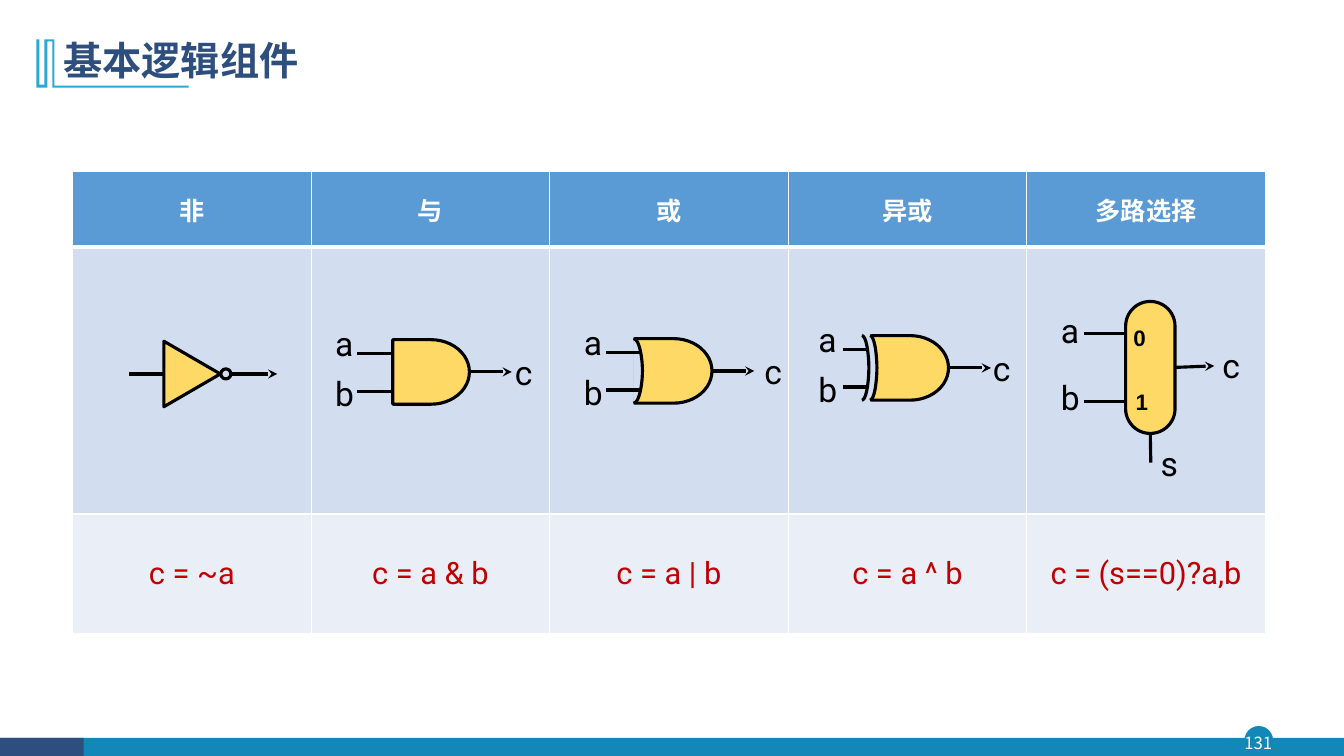
from lxml import etree
from pptx import Presentation
from pptx.dml.color import RGBColor
from pptx.enum.shapes import MSO_CONNECTOR, MSO_SHAPE
from pptx.enum.text import MSO_ANCHOR, PP_ALIGN
from pptx.oxml.ns import qn
from pptx.util import Inches, Pt

CENTER, LEFT = PP_ALIGN.CENTER, PP_ALIGN.LEFT
MIDDLE, TOP = MSO_ANCHOR.MIDDLE, MSO_ANCHOR.TOP
STRAIGHT = MSO_CONNECTOR.STRAIGHT
RECTANGLE, ELLIPSE = MSO_SHAPE.RECTANGLE, MSO_SHAPE.OVAL
TRIANGLE, DELAY = MSO_SHAPE.ISOSCELES_TRIANGLE, MSO_SHAPE.FLOWCHART_DELAY
ROUNDED = MSO_SHAPE.ROUNDED_RECTANGLE
RIGHT_SIDE, BOTTOM_SIDE = 3, 2

COLORS = {
    "navy": "2E4E7E", "teal": "1387B7", "sky": "28A9D6", "white": "FFFFFF",
    "black": "000000", "gate": "FFD966", "header": "5B9BD5",
    "band": "D2DEEF", "light": "EAEFF7", "formula": "C00000",
}
CJK = "Noto Sans CJK SC"
FORMATS = {
    "title": {"size": Pt(28), "name": CJK, "bold": True, "color": "navy"},
    "number": {"size": Pt(12), "name": CJK, "bold": False, "color": "white"},
    "header": {"size": Pt(18), "name": CJK, "bold": True, "color": "white"},
    "formula": {"size": Pt(22), "name": "Roboto", "bold": False, "color": "formula"},
    "signal": {"size": Pt(24), "name": "Roboto", "bold": False, "color": "black"},
    "port": {"size": Pt(16), "name": "Arial", "bold": True, "color": "black"},
}

TABLE_BOX = (0.72, 1.7, 11.83, 4.59)
ROW_HEIGHTS = (0.75, 2.65, 1.19)
COLUMNS = [
    ("非", "c = ~a"),
    ("与", "c = a & b"),
    ("或", "c = a | b"),
    ("异或", "c = a ^ b"),
    ("多路选择", "c = (s==0)?a,b"),
]
TITLE_MARK = [
    (0.36, 0.39), (0.39, 0.39), (0.39, 0.84), (0.44, 0.84), (0.44, 0.39),
    (0.54, 0.39), (0.54, 0.85), (1.87, 0.85), (1.87, 0.87), (0.52, 0.87),
    (0.52, 0.41), (0.47, 0.41), (0.47, 0.87), (0.36, 0.87),
]


def color(name):
    return RGBColor.from_string(COLORS[name])


def write(frame, text, style, align=LEFT):
    para = frame.paragraphs[0]
    para.alignment = align
    span = para.add_run()
    span.text = text
    for key, value in FORMATS[style].items():
        if key == "color":
            span.font.color.rgb = color(value)
        else:
            setattr(span.font, key, value)
    east_asian = etree.SubElement(span.font._element, qn("a:ea"))
    east_asian.set("typeface", FORMATS[style]["name"])
    return para


def paint(shape, fill, line=None, width=2.25):
    shape.shadow.inherit = False
    if fill:
        shape.fill.solid()
        shape.fill.fore_color.rgb = color(fill)
    else:
        shape.fill.background()
    if line:
        shape.line.color.rgb = color(line)
        shape.line.width = Pt(width)
    else:
        shape.line.fill.background()
    return shape


def add_shape(page, kind, box, fill, line=None, width=2.25):
    shape = page.shapes.add_shape(kind, *map(Inches, box))
    return paint(shape, fill, line, width)


def add_outline(page, points, fill, line=None, close=True):
    points = [(Inches(x), Inches(y)) for x, y in points]
    builder = page.shapes.build_freeform(*points[0])
    builder.add_line_segments(points[1:], close=close)
    return paint(builder.convert_to_shape(), fill, line)


def add_text(page, text, box, style, align=LEFT, inset=True, spacing=None, anchor=TOP):
    frame = page.shapes.add_textbox(*map(Inches, box)).text_frame
    frame.word_wrap = not inset
    frame.vertical_anchor = anchor
    if not inset:
        for side in ("left", "top", "right", "bottom"):
            setattr(frame, f"margin_{side}", 0)
    para = write(frame, text, style, align)
    if spacing:
        para.line_spacing = spacing


def add_wire(page, start, end, arrow=False, source=None, side=None):
    wire = page.shapes.add_connector(STRAIGHT, *map(Inches, start + end))
    wire.line.color.rgb = color("black")
    wire.line.width = Pt(2.25)
    if arrow:
        etree.SubElement(wire.line._get_or_add_ln(), qn("a:tailEnd")).set("type", "stealth")
    etree.SubElement(wire._element.spPr, qn("a:effectLst"))
    if source is not None:
        wire.begin_connect(source, side)


def add_signal(page, text, x, y):
    add_text(page, text, (x, y, 0.4, 0.5), "signal")


def add_result(page, x, y):
    add_text(page, "c", (x, y, 0.2, 0.44), "signal", inset=False, spacing=1.2)


def add_arc(page, x, y, width, height=0.64, steps=12):
    curves = [((0, 1), (0.71, 1), (1, 0.67), (1, 0.5)),
              ((1, 0.5), (1, 0.33), (0.71, 0), (0, 0))]
    points = []
    for curve in curves:
        for step in range(steps + 1):
            t = step / steps
            weights = ((1 - t) ** 3, 3 * t * (1 - t) ** 2, 3 * t * t * (1 - t), t ** 3)
            u, v = (sum(w * p[axis] for w, p in zip(weights, curve)) for axis in (0, 1))
            points.append((x + u * width, y + v * height))
    add_outline(page, points, "band", "black", close=False)


def add_not_gate(page, left, top):
    middle = top + 1.26
    add_wire(page, (left + 0.56, middle), (left + 0.91, middle))
    add_wire(page, (left + 1.57, middle), (left + 2.03, middle), arrow=True)
    add_shape(page, ELLIPSE, (left + 1.47, middle - 0.05, 0.1, 0.1), None, "black")
    body = add_shape(page, TRIANGLE, (left + 0.86, top + 0.98, 0.65, 0.56), "gate", "black")
    body.rotation = 90


def add_two_input_gate(page, x, y, label_shift, wire_span, result_shift, arcs=()):
    body = add_shape(page, DELAY, (x, y, 0.76, 0.64), "gate", "black")
    for shift, width in arcs:
        add_arc(page, x + shift, y, width)
    for name, label_y, wire_y in (("a", -0.22, 0.14), ("b", 0.28, 0.51)):
        add_signal(page, name, x + label_shift, y + label_y)
        add_wire(page, (x + wire_span[0], y + wire_y), (x + wire_span[1], y + wire_y))
    add_wire(page, (x + 0.76, y + 0.32), (x + 1.18, y + 0.32), True, body, RIGHT_SIDE)
    add_result(page, x + result_shift, y + 0.04)


def add_and_gate(page, left, top):
    add_two_input_gate(page, left + 0.81, top + 0.92, -0.67, (-0.35, 0), 1.21)


def add_or_gate(page, left, top):
    add_two_input_gate(page, left + 0.85, top + 0.91, -0.61, (-0.29, 0.06), 1.28,
                       [(-0.02, 0.09)])


def add_xor_gate(page, left, top):
    add_two_input_gate(page, left + 0.83, top + 0.88, -0.63, (-0.29, -0.04), 1.2,
                       [(-0.02, 0.07), (-0.1, 0.07)])


def add_multiplexer(page, left, top):
    x, y = left + 0.98, top + 0.54
    body = add_shape(page, ROUNDED, (x, y, 0.49, 1.31), "gate", "black")
    body.adjustments[0] = 0.5
    inputs = (("a", "0", 0.04, 0.04, 0.17, 0.32), ("b", "1", 0.7, 0.06, 0.81, 0.99))
    for name, port, label_y, port_x, port_y, wire_y in inputs:
        add_signal(page, name, x - 0.74, y + label_y)
        add_text(page, port, (x + port_x, y + port_y, 0.2, 0.29), "port", CENTER, False, 1.2)
        add_wire(page, (x - 0.41, y + wire_y), (x, y + wire_y))
    add_wire(page, (x + 0.49, y + 0.64), (x + 0.88, y + 0.64), True, body, RIGHT_SIDE)
    add_wire(page, (x + 0.25, y + 1.31), (x + 0.25, y + 1.6), False, body, BOTTOM_SIDE)
    add_result(page, x + 0.96, y + 0.35)
    add_signal(page, "s", x + 0.25, y + 1.35)


def format_cell(cell, fill, row):
    properties = cell._tc.get_or_add_tcPr()
    for tag in ("lnL", "lnR", "lnT", "lnB"):
        heavy = (row, tag) in ((0, "lnB"), (1, "lnT"))
        border = etree.SubElement(properties, qn(f"a:{tag}"), w=str(Pt(3 if heavy else 1)))
        solid = etree.SubElement(border, qn("a:solidFill"))
        etree.SubElement(solid, qn("a:srgbClr"), val=COLORS["white"])
    cell.fill.solid()
    cell.fill.fore_color.rgb = color(fill)
    cell.vertical_anchor = MIDDLE


def add_gate_table(page, box):
    left, top, width, _ = box
    table = page.shapes.add_table(3, len(COLUMNS), *map(Inches, box)).table
    for row, height in zip(table.rows, ROW_HEIGHTS):
        row.height = Inches(height)
    pitch = width / len(COLUMNS)
    gates = (add_not_gate, add_and_gate, add_or_gate, add_xor_gate, add_multiplexer)
    for index, ((name, formula), add_gate) in enumerate(zip(COLUMNS, gates)):
        table.columns[index].width = Inches(pitch)
        for row, fill in enumerate(("header", "band", "light")):
            format_cell(table.cell(row, index), fill, row)
        write(table.cell(0, index).text_frame, name, "header", CENTER)
        write(table.cell(2, index).text_frame, formula, "formula", CENTER)
        add_gate(page, left + index * pitch, top + ROW_HEIGHTS[0])


def add_footer(page, top):
    add_shape(page, ELLIPSE, (12.35, top - 0.11, 0.27, 0.27), "teal", "teal", 1)
    add_shape(page, RECTANGLE, (0, top, 13.33, 0.18), "teal")
    add_shape(page, RECTANGLE, (0, top, 0.83, 0.18), "navy")
    add_text(page, "131", (12.32, top - 0.11, 0.32, 0.31), "number", CENTER, False, None, MIDDLE)


def add_title(page, box):
    add_outline(page, TITLE_MARK, "sky")
    title = page.shapes.title
    for key, value in zip(("left", "top", "width", "height"), box):
        setattr(title, key, Inches(value))
    title.text_frame.vertical_anchor = MIDDLE
    write(title.text_frame, "基本逻辑组件", "title").line_spacing = 0.9


def main():
    deck = Presentation()
    deck.slide_width, deck.slide_height = Inches(13.33), Inches(7.5)
    page = deck.slides.add_slide(deck.slide_layouts[5])
    add_footer(page, 7.32)
    add_title(page, (0.53, 0.28, 3.1, 0.68))
    add_gate_table(page, TABLE_BOX)
    deck.save("out.pptx")


if __name__ == "__main__":
    main()
